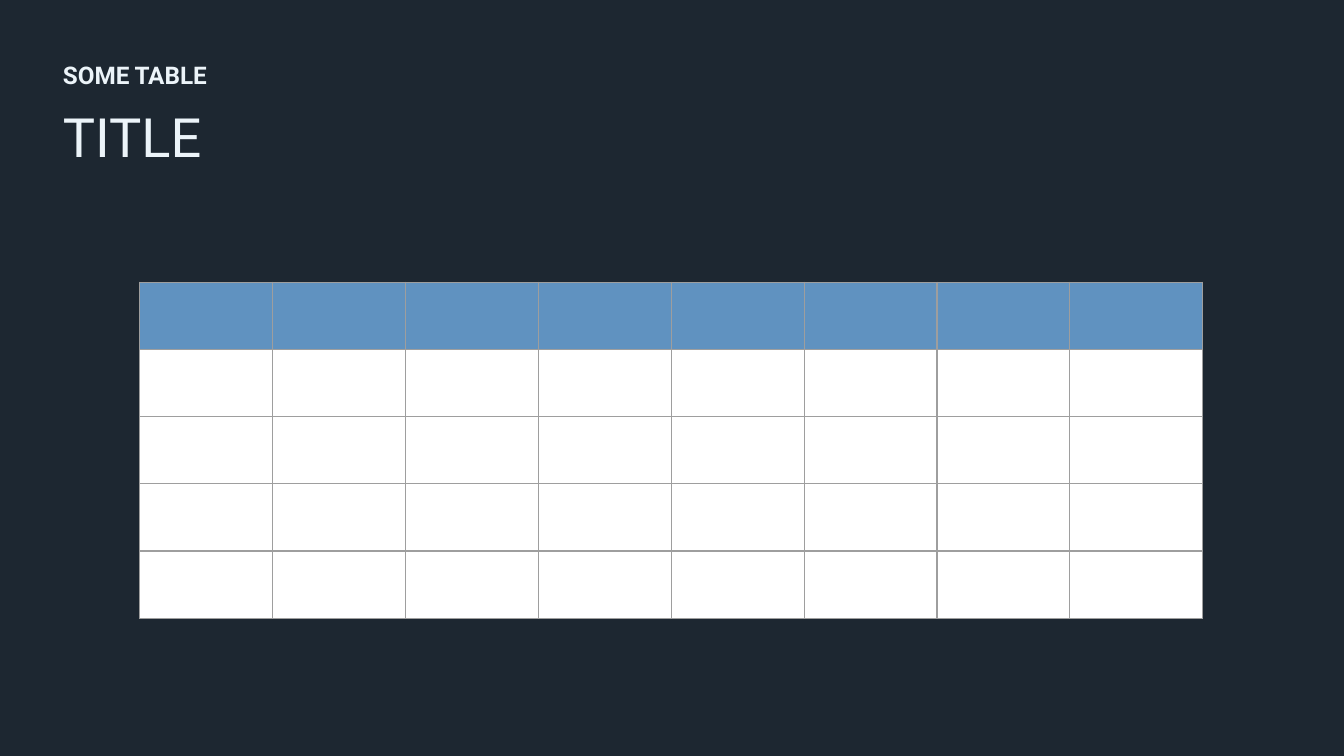
from lxml.etree import SubElement
from pptx import Presentation
from pptx.dml.color import RGBColor
from pptx.enum.text import MSO_ANCHOR
from pptx.oxml.ns import qn
from pptx.util import Inches, Pt

COLORS = {
    "back": "1D2731",
    "text": "ECF4F9",
    "head": "6092C0",
    "body": "FFFFFF",
    "rule": "9E9E9E",
}
FONT = "Roboto"


def paint(fill, name):
    fill.solid()
    fill.fore_color.rgb = RGBColor.from_string(COLORS[name])


def add_text(slide, text, box, size, bold=False, color="text"):
    shape = slide.shapes.add_textbox(*[Inches(v) for v in box])
    frame = shape.text_frame
    frame.word_wrap = True
    frame.vertical_anchor = MSO_ANCHOR.TOP
    frame.margin_left = frame.margin_right = Inches(0.1)
    frame.margin_top = frame.margin_bottom = Inches(0.1)
    run = frame.paragraphs[0].add_run()
    run.text = text
    run.font.name = FONT
    run.font.size = Pt(size)
    run.font.bold = bold
    run.font.color.rgb = RGBColor.from_string(COLORS[color])


def add_rules(cell, width=0.75):
    props = cell._tc.get_or_add_tcPr()
    for side in ("lnL", "lnR", "lnT", "lnB"):
        line = SubElement(props, qn(f"a:{side}"), w=str(Pt(width)))
        fill = SubElement(line, qn("a:solidFill"))
        SubElement(fill, qn("a:srgbClr"), val=COLORS["rule"])


def add_header(slide, left, top, width):
    # Small label above the large title
    add_text(slide, "SOME TABLE", (left, top, 2.21, 0.42), size=13, bold=True)
    add_text(slide, "TITLE", (left, top + 0.32, width, 0.69), size=29)


def add_grid(slide, left, top, width, height, rows=5, cols=8):
    box = [Inches(v) for v in (left, top, width, height)]
    table = slide.shapes.add_table(rows, cols, *box).table
    table.horz_banding = False
    for col in table.columns:
        col.width = Inches(width / cols)
    for index, row in enumerate(table.rows):
        row.height = Inches(height / rows)
        for cell in row.cells:
            add_rules(cell)
            paint(cell.fill, "body" if index else "head")


def main():
    deck = Presentation()
    # Widescreen, 16:9
    deck.slide_width = Inches(10)
    deck.slide_height = deck.slide_width * 9 // 16
    slide = deck.slides.add_slide(deck.slide_layouts[6])
    paint(slide.background.fill, "back")
    add_header(slide, 0.37, 0.35, 3.28)
    add_grid(slide, 1.04, 2.1, 7.91, 2.5)
    deck.save("out.pptx")


if __name__ == "__main__":
    main()
